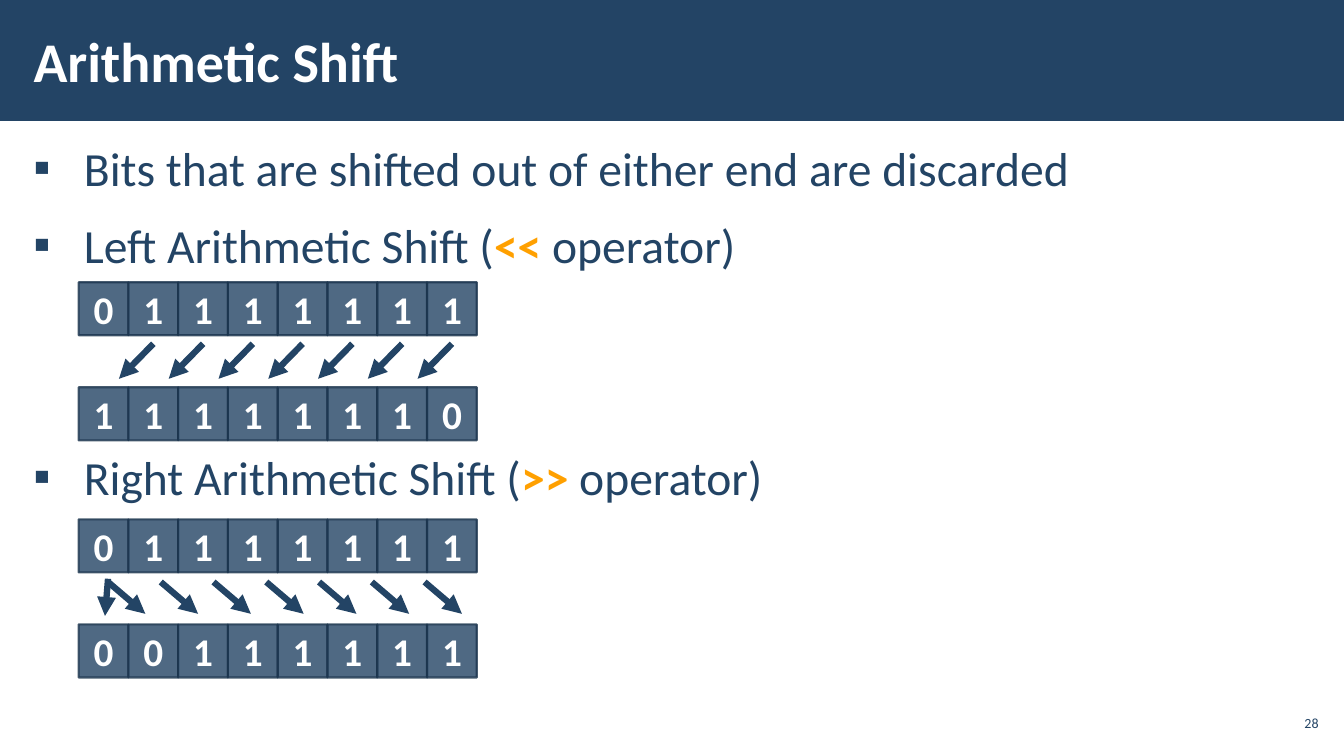
import pptx
import pptx.util
import pptx.dml.color
import pptx.enum.shapes
import pptx.enum.text
import pptx.oxml
import pptx.oxml.ns
import lxml.etree

INK = {"navy": "234465", "edge": "1A334C", "gold": "FFA000", "white": "FFFFFF"}
SHAPE = pptx.enum.shapes.MSO_SHAPE
ALIGN = pptx.enum.text.PP_ALIGN
ANCHOR = pptx.enum.text.MSO_ANCHOR
FIT = pptx.enum.text.MSO_AUTO_SIZE
LEFT, DROP, ARROWS = 1.58, 1.98, 7


def put(item, form):
    for name, value in form.items():
        setattr(item, name, value)


def color(name):
    return pptx.dml.color.RGBColor.from_string(INK[name])


def add(parent, tag, **attrs):
    return lxml.etree.SubElement(parent, pptx.oxml.ns.qn(tag), attrs)


class Deck:
    face = "Calibri"
    cols, rows = 27, 14.25

    def __init__(self):
        self.show = pptx.Presentation()
        put(self.show, {"slide_width": pptx.util.Inches(13.33),
                        "slide_height": pptx.util.Inches(7.5)})
        self.slide = self.show.slides.add_slide(self.show.slide_layouts[1])

    def x(self, col):
        return round(self.show.slide_width * col / self.cols)

    def y(self, row):
        return round(self.show.slide_height * row / self.rows)

    def box(self, col, row, wide, high):
        return self.x(col), self.y(row), self.x(wide), self.y(high)

    def place(self, item, *area):
        put(item, dict(zip(("left", "top", "width", "height"), self.box(*area))))

    def frame(self, item, side=0.12, anchor=ANCHOR.MIDDLE):
        pad, edge = pptx.util.Inches(side), pptx.util.Inches(0.04)
        put(item.text_frame, {"word_wrap": True, "auto_size": FIT.NONE,
                              "vertical_anchor": anchor,
                              "margin_left": pad, "margin_right": pad,
                              "margin_top": edge, "margin_bottom": edge})
        return item.text_frame

    def words(self, para, text, size, ink="navy", bold=False):
        run = para.add_run()
        run.text = text
        put(run.font, {"name": self.face, "size": pptx.util.Pt(size), "bold": bold})
        run.font.color.rgb = color(ink)

    def title(self, text, *area):
        head = self.slide.shapes.title
        self.place(head, *area)
        para = self.frame(head).paragraphs[0]
        para.alignment = ALIGN.LEFT
        self.words(para, text, 40, "white", True)

    def points(self, items, *area):
        body = self.slide.placeholders[1]
        self.place(body, *area)
        frame = self.frame(body, anchor=ANCHOR.TOP)
        for i, (runs, gap) in enumerate(items):
            para = frame.paragraphs[0] if i == 0 else frame.add_paragraph()
            put(para, {"line_spacing": 1.05, "space_before": pptx.util.Pt(gap),
                       "space_after": pptx.util.Pt(6)})
            props = para._p.get_or_add_pPr()
            indent = pptx.util.Inches(0.5)
            props.set("marL", str(indent))
            props.set("indent", str(-indent))
            add(props, "a:buFont", typeface=self.face)
            add(props, "a:buChar", char="▪")
            for text, ink in runs:
                self.words(para, text, 34, ink, ink == "gold")

    def label(self, text, *area):
        note = self.slide.shapes.add_textbox(*self.box(*area))
        para = self.frame(note, 0.04).paragraphs[0]
        para.alignment = ALIGN.RIGHT
        self.words(para, text, 10)

    def rect(self, home, *area):
        item = home.add_shape(SHAPE.RECTANGLE, *self.box(*area))
        item.shadow.inherit = False
        item.fill.solid()
        item.fill.fore_color.rgb = color("navy")
        return item

    def band(self, *area):
        item = self.rect(self.slide.shapes, *area)
        item.line.fill.background()
        self.slide.shapes.element.insert(2, item.element)

    def group(self):
        return self.slide.shapes.add_group_shape().shapes

    def byte(self, home, bits, row):
        for i, bit in enumerate(bits):
            cell = self.rect(home, LEFT + i, row, 1, 1)
            cell.line.color.rgb = color("edge")
            cell.line.width = pptx.util.Pt(1.5)
            for tint in cell.element.spPr.iter(pptx.oxml.ns.qn("a:srgbClr")):
                add(tint, "a:alpha", val="80000")
            cell.text_frame.vertical_anchor = ANCHOR.MIDDLE
            para = cell.text_frame.paragraphs[0]
            para.alignment = ALIGN.CENTER
            self.words(para, bit, 28, "white", True)

    def arrow(self, home, start, end):
        (a, b), (c, d) = start, end
        line = home.add_connector(pptx.enum.shapes.MSO_CONNECTOR.STRAIGHT,
                                  self.x(a), self.y(b), self.x(c), self.y(d))
        line.line.color.rgb = color("navy")
        line.line.width = pptx.util.Pt(4.5)
        add(line.element.spPr.find(pptx.oxml.ns.qn("a:ln")), "a:tailEnd",
            type="triangle")
        add(line.element.spPr, "a:effectLst")

    def shift(self, top, before, after, start, end, step):
        home = self.group()
        self.byte(home, before, top)
        self.byte(home, after, top + DROP)
        for i in range(ARROWS):
            self.arrow(home, *((LEFT + col + i * step, top + row)
                               for col, row in (start, end)))
        return home


def main():
    deck = Deck()
    deck.band(0, 0, 27, 2.28)
    deck.title("Arithmetic Shift", 0.43, 0.21, 21.07, 1.84)
    deck.points([
        ([("Bits that are shifted out of either end are discarded", "navy")], 6),
        ([("Left Arithmetic Shift (", "navy"), ("<< ", "gold"),
          ("operator)", "navy")], 6),
        ([("Right Arithmetic Shift (", "navy"), (">>", "gold"),
          (" operator)", "navy")], 117),
    ], 0.43, 2.49, 26.17, 10.81)
    deck.label("28", 25.62, 13.3, 0.95, 0.65)
    deck.shift(5.32, "01111111", "11111110", (1.5, 1.16), (0.81, 1.82), 1)
    top = 9.79
    right = deck.shift(top, "01111111", "00111111", (0.59, 1.18), (1.34, 1.78), 1.06)
    deck.arrow(right, (LEFT + 0.59, top + 1.12), (LEFT + 0.53, top + 1.82))
    deck.show.save("out.pptx")


if __name__ == "__main__":
    main()
